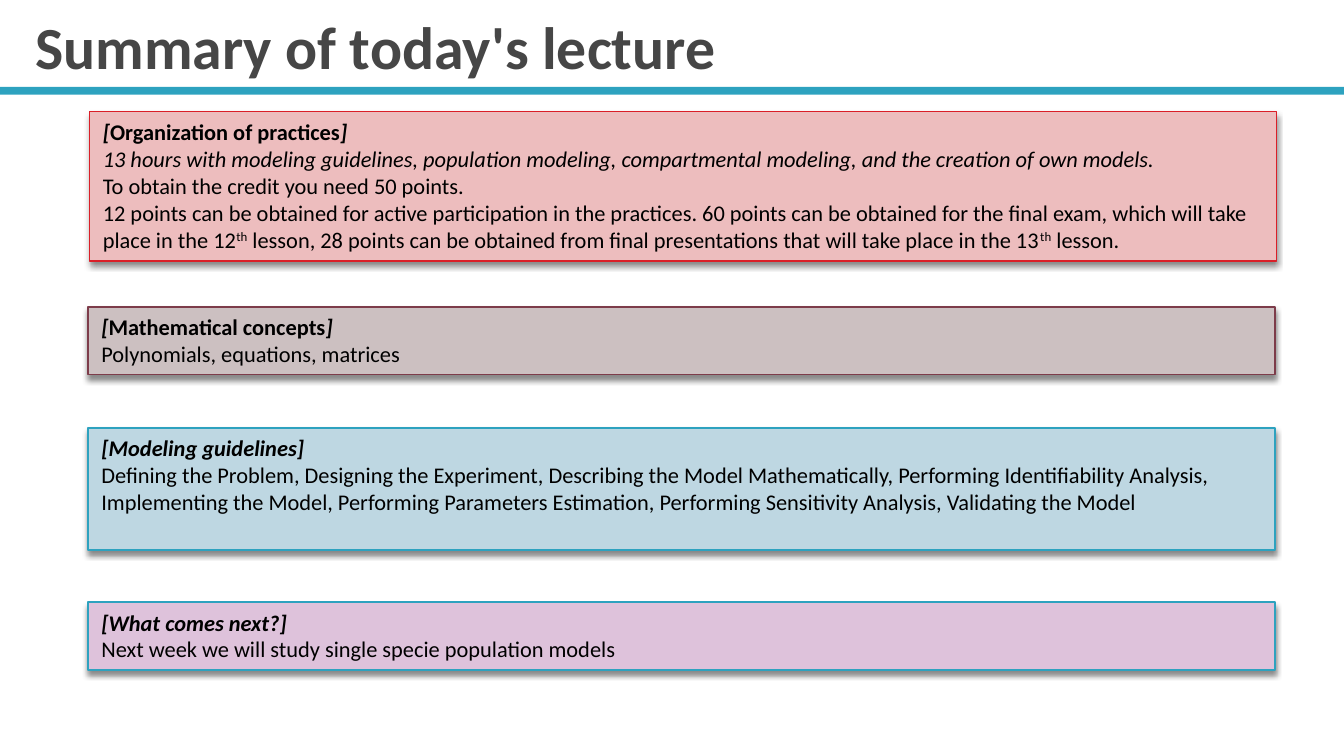
from lxml import etree
from pptx import Presentation
from pptx.dml.color import RGBColor
from pptx.enum.shapes import MSO_SHAPE
from pptx.enum.text import MSO_ANCHOR, PP_ALIGN
from pptx.oxml.ns import qn
from pptx.util import Inches, Pt

RECT = MSO_SHAPE.RECTANGLE
TOP, BOTTOM = MSO_ANCHOR.TOP, MSO_ANCHOR.BOTTOM
LEFT = PP_ALIGN.LEFT
FONT = "Calibri"

prs = Presentation()
prs.slide_width = Inches(10)
prs.slide_height = prs.slide_width * 9 // 16

SECTIONS = [
    ((6.67, 14.78, 88.3, 19.73), "EDBDBE", "DA1F28", [
        [("[", "bi"), ("Organization of practices", "b"), ("]", "bi")],
        [("13 hours with modeling guidelines, population modeling, compartmental "
          "modeling, and the creation of own models.", "i")],
        [("To obtain the credit you need 50 points.", "")],
        [("12 points can be obtained for active participation in the practices. "
          "60 points can be obtained for the final exam, which will take place in the 12", ""),
         ("th", "^"),
         (" lesson, 28 points can be obtained from final presentations that will "
          "take place in the 13", ""),
         ("th", "^"), (" lesson.", "")],
    ]),
    ((6.56, 40.6, 88.3, 8.97), "CCC0C1", "7D3C4A", [
        [("[", "bi"), ("Mathematical concepts", "b"), ("]", "bi")],
        [("Polynomials, equations, matrices", "")],
    ]),
    ((6.56, 56.6, 88.3, 16.15), "BED7E2", "2DA2BF", [
        [("[Modeling guidelines]", "bi")],
        [("Defining the Problem, Designing the Experiment, Describing the Model "
          "Mathematically, Performing Identifiability Analysis, Implementing the Model, "
          "Performing Parameters Estimation, Performing Sensitivity Analysis, "
          "Validating the Model", "")],
    ]),
    ((6.56, 79.65, 88.3, 8.97), "DEC2DB", "2DA2BF", [
        [("[What comes next?]", "bi")],
        [("Next week we will study single specie population models", "")],
    ]),
]


def color(value):
    return RGBColor.from_string(value)


def place(box):
    x, y, w, h = (share / 100 for share in box)
    return (int(x * prs.slide_width), int(y * prs.slide_height),
            int(w * prs.slide_width), int(h * prs.slide_height))


def add_run(p, text, size, fill, style=""):
    r = p.add_run()
    r.text = text
    r.font.name, r.font.size = FONT, Pt(size)
    r.font.color.rgb = color(fill)
    r.font.bold, r.font.italic = "b" in style, "i" in style
    if "^" in style:
        r.font._element.set("baseline", "30000")


def add_rect(slide, box, fill, line=None):
    sp = slide.shapes.add_shape(RECT, *place(box))
    sp.shadow.inherit = False
    sp.fill.solid()
    sp.fill.fore_color.rgb = color(fill)
    if line:
        sp.line.color.rgb = color(line)
        sp.line.width = Pt(0.79)
    else:
        sp.line.fill.background()
    return sp


def add_shadow(sp):
    effects = sp._element.spPr.find(qn("a:effectLst"))
    shadow = etree.SubElement(effects, qn("a:outerShdw"), blurRad=str(Pt(3)),
                              dist=str(Pt(2.4)), dir="5400000", rotWithShape="0")
    tint = etree.SubElement(shadow, qn("a:srgbClr"), val="000000")
    etree.SubElement(tint, qn("a:alpha"), val="45000")


def add_title(slide, box, text):
    tf = slide.shapes.add_textbox(*place(box)).text_frame
    tf.word_wrap = True
    tf.vertical_anchor = BOTTOM
    tf.margin_top, tf.margin_bottom = 0, Inches(0.03)
    p = tf.paragraphs[0]
    p.line_spacing = 0.9
    add_run(p, text, 32, "464646", "b")


def add_section(slide, box, fill, line, paragraphs):
    sp = add_rect(slide, box, fill, line)
    add_shadow(sp)
    tf = sp.text_frame
    tf.word_wrap = True
    tf.vertical_anchor = TOP
    for i, runs in enumerate(paragraphs):
        p = tf.add_paragraph() if i else tf.paragraphs[0]
        p.alignment = LEFT
        for text, style in runs:
            add_run(p, text, 12, "000000", style)


def main():
    slide = prs.slides.add_slide(prs.slide_layouts[6])
    add_rect(slide, (0, 11.5, 100, 1.02), "2DA2BF")
    add_title(slide, (1.65, 2.25, 95.8, 9.2), "Summary of today's lecture")
    for section in SECTIONS:
        add_section(slide, *section)
    prs.save("out.pptx")


if __name__ == "__main__":
    main()
